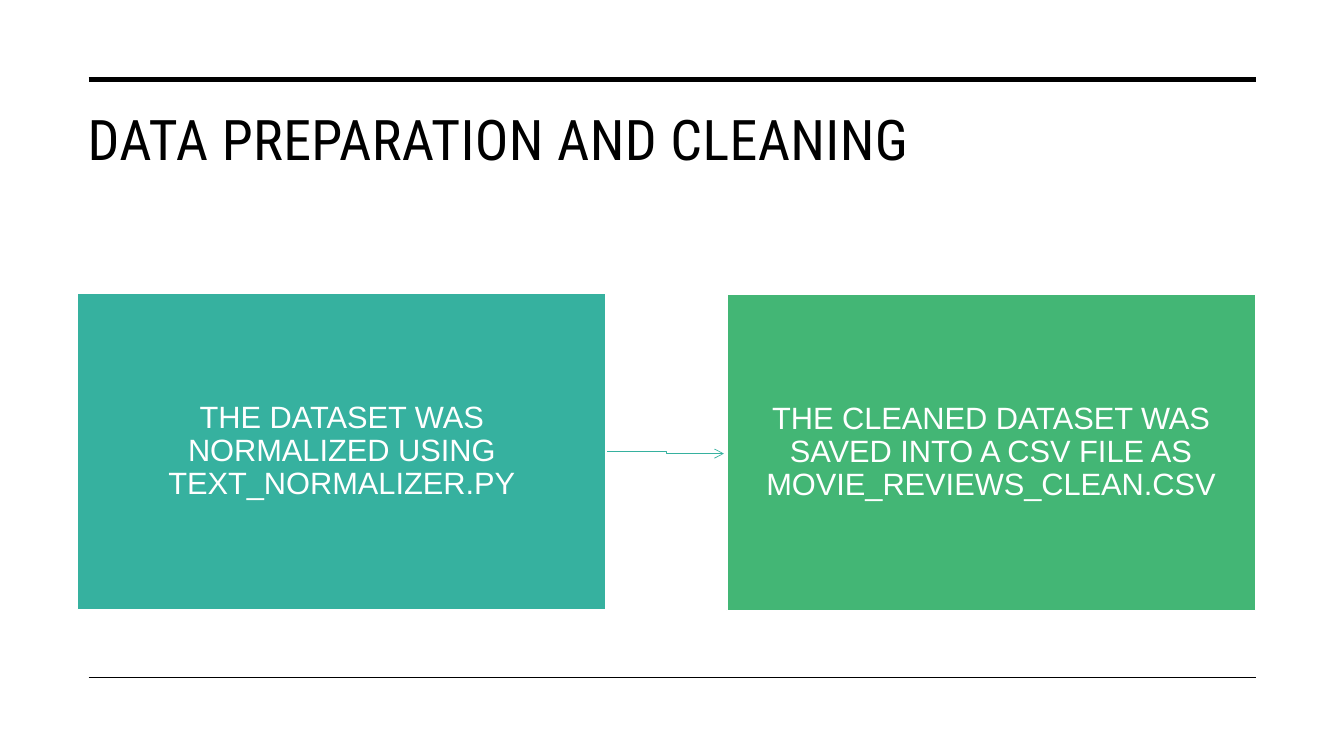
"""Build the data preparation and cleaning slide."""
from lxml import etree
from pptx import Presentation
from pptx.dml.color import RGBColor
from pptx.enum.shapes import MSO_CONNECTOR, MSO_SHAPE
from pptx.enum.text import MSO_ANCHOR, PP_ALIGN
from pptx.oxml.ns import qn
from pptx.util import Inches, Pt

STRAIGHT = MSO_CONNECTOR.STRAIGHT
RECTANGLE = MSO_SHAPE.RECTANGLE
TOP, MIDDLE = MSO_ANCHOR.TOP, MSO_ANCHOR.MIDDLE
LEFT, CENTER = PP_ALIGN.LEFT, PP_ALIGN.CENTER

COLORS = {"black": "000000", "white": "FFFFFF", "teal": "36B19F", "green": "43B675"}

TITLE = "DATA PREPARATION AND CLEANING"
TITLE_AREA = (0.77, 0.99, 11.69, 1.26)
RULES = [(0.79, 3.5), (6.72, 1)]
RULE_LEFT, RULE_RIGHT = 0.88, 12.46
STEPS = [
    ("THE DATASET WAS NORMALIZED USING TEXT_NORMALIZER.PY", "teal"),
    ("THE CLEANED DATASET WAS SAVED INTO A CSV FILE AS MOVIE_REVIEWS_CLEAN.CSV", "green"),
]
STEP_LEFT, STEP_TOP, STEP_WIDTH, STEP_HEIGHT = 0.77, 2.91, 5.24, 3.14
STEP_PITCH, STEP_DROP = 6.44, 0.01
ARROW_POINTS = [(6.01, 4.48), (6.61, 4.48), (6.61, 4.5), (7.18, 4.5)]

TITLE_FORMAT = {
    "frame": {"word_wrap": True, "vertical_anchor": TOP},
    "para": {"alignment": LEFT},
    "font": {"name": "Roboto Condensed", "size": Pt(40)},
}
STEP_FORMAT = {
    "frame": {
        "word_wrap": True, "vertical_anchor": MIDDLE,
        "margin_left": Inches(0.26), "margin_right": Inches(0.26),
        "margin_top": Inches(0.27), "margin_bottom": Inches(0.27),
    },
    "para": {"alignment": CENTER, "line_spacing": 0.9},
    "font": {"name": "Arial", "size": Pt(22)},
}


def color(name):
    return RGBColor.from_string(COLORS[name])


def set_values(target, values):
    for name, value in values.items():
        setattr(target, name, value)


def write(box, text, color_name, formats):
    frame = box.text_frame
    para = frame.paragraphs[0]
    span = para.add_run()
    span.text = text
    for target, part in ((frame, "frame"), (para, "para"), (span.font, "font")):
        set_values(target, formats[part])
    span.font.color.rgb = color(color_name)
    return span


def set_line(shape, color_name, width):
    shape.line.color.rgb = color(color_name)
    shape.line.width = Pt(width)


def add_title(page):
    box = page.shapes.add_textbox(*map(Inches, TITLE_AREA))
    span = write(box, TITLE, "black", TITLE_FORMAT)
    span.font._element.set("spc", "30")


def add_rule(page, y, width):
    ends = (RULE_LEFT, y, RULE_RIGHT, y)
    rule = page.shapes.add_connector(STRAIGHT, *map(Inches, ends))
    set_line(rule, "black", width)
    etree.SubElement(rule._element.spPr, qn("a:effectLst"))


def add_arrow(page):
    points = [(Inches(x), Inches(y)) for x, y in ARROW_POINTS]
    builder = page.shapes.build_freeform(*points[0])
    builder.add_line_segments(points[1:], close=False)
    arrow = builder.convert_to_shape()
    arrow.shadow.inherit = False
    arrow.fill.background()
    set_line(arrow, "teal", 0.5)
    etree.SubElement(arrow.line._get_or_add_ln(), qn("a:tailEnd"), type="arrow")


def add_step(page, index, text, fill):
    area = (STEP_LEFT + index * STEP_PITCH, STEP_TOP + index * STEP_DROP,
            STEP_WIDTH, STEP_HEIGHT)
    box = page.shapes.add_shape(RECTANGLE, *map(Inches, area))
    box.shadow.inherit = False
    box.fill.solid()
    box.fill.fore_color.rgb = color(fill)
    set_line(box, "white", 1)
    write(box, text, "white", STEP_FORMAT)


def main():
    deck = Presentation()
    set_values(deck, {"slide_width": Inches(13.33), "slide_height": Inches(7.5)})
    page = deck.slides.add_slide(deck.slide_layouts[6])
    add_title(page)
    for y, width in RULES:
        add_rule(page, y, width)
    add_arrow(page)
    for index, (text, fill) in enumerate(STEPS):
        add_step(page, index, text, fill)
    deck.save("out.pptx")


if __name__ == "__main__":
    main()
